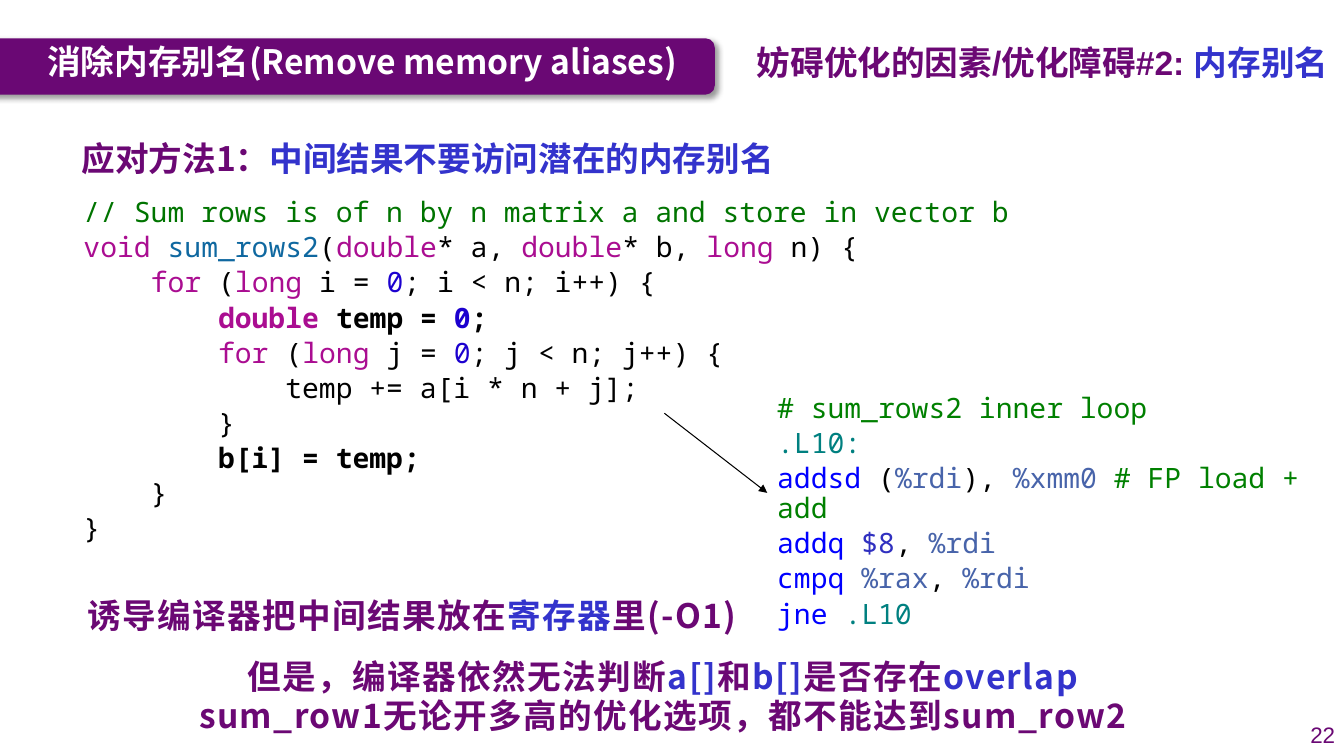
from lxml.etree import SubElement
from pptx import Presentation
from pptx.dml.color import RGBColor
from pptx.enum.shapes import MSO_CONNECTOR, MSO_SHAPE
from pptx.enum.text import MSO_ANCHOR, MSO_AUTO_SIZE, PP_ALIGN
from pptx.oxml.ns import qn
from pptx.util import Pt

SCALE = 9144
SANS, MONO, ARIAL = "Noto Sans CJK SC", "Noto Sans Mono", "Arial"
PURPLE, BLUE, BLACK, WHITE = "6B0874", "3333CC", "000000", "FFFFFF"
BAR = "6A0874"
NOTE, WORD, FUNC, DIGIT = "007400", "AA0D91", "0F68A0", "1C00CF"
HASH, LABEL, OPCODE, REG, CONST = "008000", "008080", "0000FF", "4864AA", "3030C0"
LEFT, CENTER, RIGHT = PP_ALIGN.LEFT, PP_ALIGN.CENTER, PP_ALIGN.RIGHT


def px(*values):
    return [value * SCALE for value in values]


def color(code):
    return RGBColor.from_string(code)


class Deck:
    def __init__(self, width, height):
        self.show = Presentation()
        self.show.slide_width, self.show.slide_height = px(width, height)
        self.slide = self.show.slides.add_slide(self.show.slide_layouts[1])
        self.shapes = self.slide.shapes

    def bar(self, *box):
        bar = self.shapes.add_shape(MSO_SHAPE.ROUNDED_RECTANGLE, *px(*box))
        bar.fill.solid()
        bar.fill.fore_color.rgb = color(BAR)
        bar.line.fill.background()
        bar.shadow.inherit = False
        effects = bar._element.spPr.find(qn("a:effectLst"))
        shade = SubElement(effects, qn("a:outerShdw"), blurRad=str(Pt(4)),
                           dist=str(Pt(3)), dir="2700000", algn="tl", rotWithShape="0")
        tint = SubElement(shade, qn("a:srgbClr"), val=BLACK)
        SubElement(tint, qn("a:alpha"), val="40000")
        self.shapes._spTree.insert(2, bar._element)

    def arrow(self, *ends):
        arrow = self.shapes.add_connector(MSO_CONNECTOR.STRAIGHT, *px(*ends))
        arrow.line.color.rgb = color(BLACK)
        arrow.line.width = Pt(0.75)
        SubElement(arrow.line._get_or_add_ln(), qn("a:tailEnd"), type="triangle")
        SubElement(arrow._element.spPr, qn("a:effectLst"))

    def text(self, box, rows, **style):
        self.fill(self.shapes.add_textbox(*px(*box)), rows, **style)

    def holder(self, index, box, rows, **style):
        shape = self.slide.placeholders[index]
        shape.left, shape.top, shape.width, shape.height = px(*box)
        self.fill(shape, rows, **style)

    def fill(self, shape, rows, font=SANS, size=24, bold=True, align=LEFT, gap=0,
             lead=0.9, track=0, wrap=True, anchor=MSO_ANCHOR.TOP, hang=0):
        frame = shape.text_frame
        frame.auto_size = MSO_AUTO_SIZE.NONE
        frame.word_wrap = wrap
        frame.vertical_anchor = anchor
        for index, row in enumerate(rows):
            para = frame.add_paragraph() if index else frame.paragraphs[0]
            props = para._p.get_or_add_pPr()
            props.set("marL", str(hang * SCALE))
            props.set("indent", str(-hang * SCALE))
            SubElement(props, qn("a:buNone"))
            para.alignment = align
            para.line_spacing = lead
            para.space_before = Pt(gap if index else 0)
            for words, tint, *weight in row:
                run = para.add_run()
                run.text = words
                run.font.name = font
                run.font.size = Pt(size)
                run.font.bold = weight[0] if weight else bold
                run.font.color.rgb = color(tint)
                props = run._r.get_or_add_rPr()
                SubElement(props, qn("a:ea"), typeface=MONO if font == MONO else SANS)
                if track:
                    props.set("spc", str(track * 100))

    def save(self):
        self.show.save("out.pptx")


SOURCE = [
    [("// Sum rows is of n by n matrix a and store in vector b", NOTE)],
    [("void ", WORD), ("sum_rows2", FUNC), ("(", BLACK), ("double", WORD), ("* a, ", BLACK),
     ("double", WORD), ("* b, ", BLACK), ("long", WORD), (" n) {", BLACK)],
    [("    for", WORD), (" (", BLACK), ("long ", WORD), ("i = ", BLACK), ("0", DIGIT),
     ("; i < n; i++) {", BLACK)],
    [("        double ", WORD, True), ("temp = ", BLACK, True), ("0", DIGIT, True),
     (";", BLACK, True)],
    [("        for", WORD), (" (", BLACK), ("long", WORD), (" j = ", BLACK), ("0", DIGIT),
     ("; j < n; j++) {", BLACK)],
    [("            temp += a[i * n + j];", BLACK)],
    [("        }", BLACK)],
    [("        b[i] = temp;", BLACK, True)],
    [("    }", BLACK)],
    [("}", BLACK)],
]
LOOP = [
    [("# sum_rows2 inner loop", HASH)],
    [(".L10:", LABEL)],
    [("addsd", OPCODE), (" (", BLACK), ("%rdi", REG), ("), ", BLACK), ("%xmm0 ", REG),
     ("# FP load + add", HASH)],
    [("addq ", OPCODE), ("$8", CONST), (", ", BLACK), ("%rdi", REG)],
    [("cmpq ", OPCODE), ("%rax", REG), (", ", BLACK), ("%rdi", REG)],
    [("jne ", OPCODE), (".L10", LABEL)],
]
ADVICE = [("诱导编译器把中间结果放在", PURPLE), ("寄存器", BLUE), ("里(-O1)", PURPLE)]
LIMITS = [
    [("但是，编译器依然无法判断", PURPLE), ("a[]", BLUE), ("和", PURPLE), ("b[]", BLUE),
     ("是否存在", PURPLE), ("overlap", BLUE)],
    [("sum_row1无论开多高的优化选项，都不能达到sum_row2", PURPLE)],
]


def main():
    deck = Deck(1333, 750)
    code = dict(font=MONO, size=20, bold=False, gap=3.5)
    deck.bar(-78, 38, 787, 56)
    deck.holder(0, (37, 36, 661, 55), [[("消除内存别名(Remove memory aliases)", WHITE)]],
                anchor=MSO_ANCHOR.MIDDLE)
    deck.text((1279, 710, 55, 40), [[("22", BAR)]], font=ARIAL, size=16, bold=False,
              align=RIGHT, anchor=MSO_ANCHOR.MIDDLE)
    deck.text((734, 41, 600, 50),
              [[("妨碍优化的因素/优化障碍#2: ", PURPLE), ("内存别名", BLUE)]],
              font=ARIAL, align=CENTER)
    deck.holder(1, (71, 112, 1240, 70),
                [[("应对方法1：", PURPLE), ("中间结果不要访问潜在的内存别名", BLUE)]],
                lead=1.5, hang=229)
    deck.text((73, 192, 960, 407), SOURCE, **code)
    deck.text((70, 590, 677, 50), [ADVICE], align=CENTER, track=1, wrap=False)
    deck.text((761, 386, 603, 246), LOOP, **code)
    deck.arrow(659, 410, 761, 489)
    deck.text((69, 650, 1177, 99), LIMITS, align=CENTER, gap=2.5, track=1)
    deck.save()


if __name__ == "__main__":
    main()
